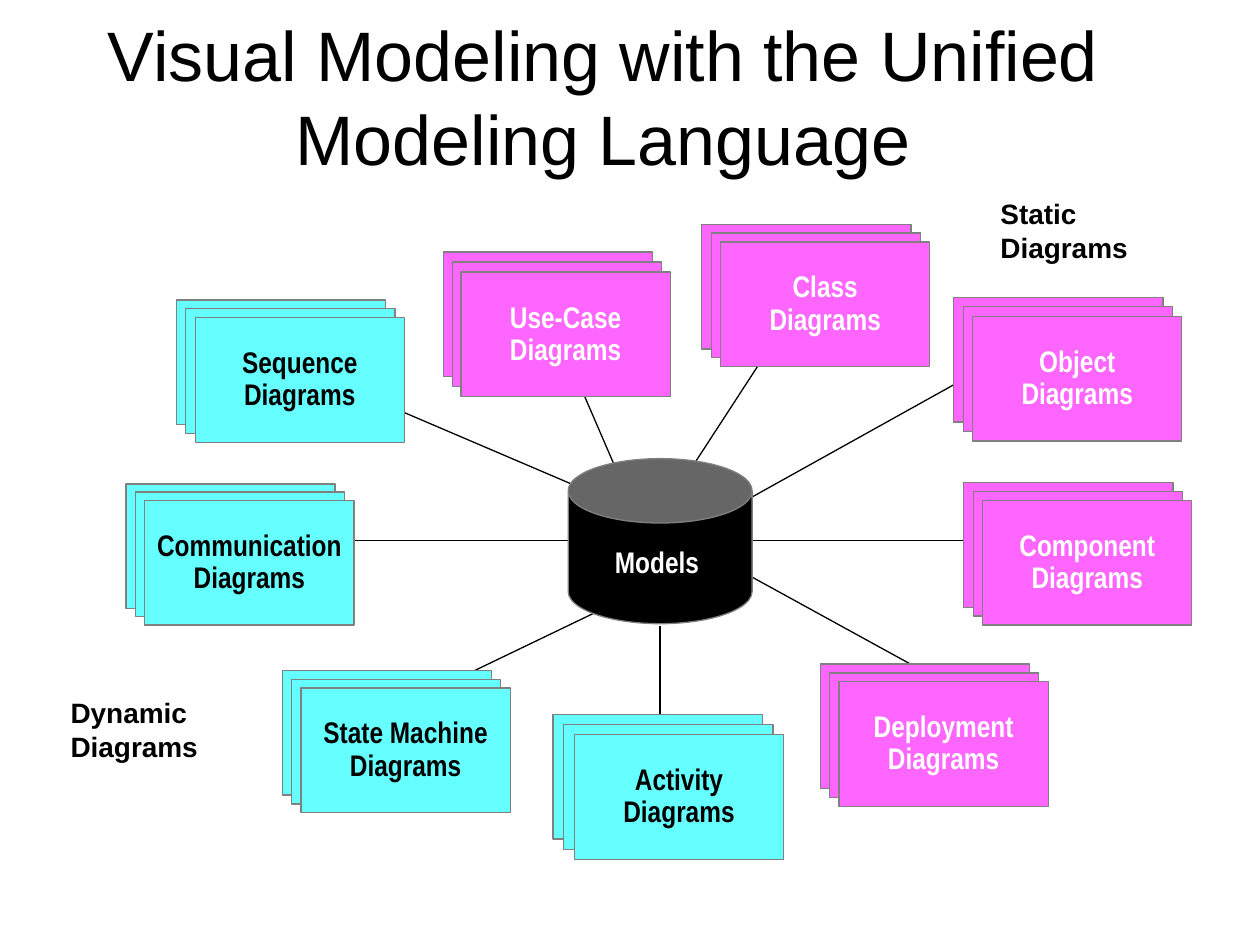
from lxml.etree import SubElement
from pptx import Presentation
from pptx.dml.color import RGBColor
from pptx.enum.shapes import MSO_CONNECTOR, MSO_SHAPE
from pptx.enum.text import MSO_ANCHOR, PP_ALIGN
from pptx.oxml.ns import qn
from pptx.util import Inches, Pt

THEME = {
    "black": RGBColor(0, 0, 0), "white": RGBColor(255, 255, 255),
    "outline": RGBColor(0x80, 0x80, 0x80),
    "dynamic": RGBColor(0x66, 0xFF, 0xFF), "static": RGBColor(0xFF, 0x66, 0xFF),
    "sans": "Arial", "narrow": "Arial Narrow",
    "title": 40, "label": 16, "box": 17,
}

# Content
TITLE = "Visual Modeling with the Unified Modeling Language"
LABELS = [  # text, left, top, width, height
    ("Dynamic Diagrams", 0.44, 5.46, 1.39, 0.65),
    ("Static Diagrams", 7.82, 1.5, 1.39, 0.65),
]
# name, kind, back card corner, front card corner, line start, line end
STACKS = [
    ("Activity", "dynamic", (4.39, 5.67), (4.56, 5.83), (5.24, 4.97), (5.24, 5.83)),
    ("Object", "static", (7.57, 2.36), (7.72, 2.51), (5.42, 4.25), (7.9, 2.87)),
    ("Component", "static", (7.65, 3.83), (7.8, 3.97), (5.66, 4.29), (7.98, 4.29)),
    ("Sequence", "dynamic", (1.4, 2.38), (1.55, 2.52), (2.59, 3.01), (5.07, 4.07)),
    ("State Machine", "dynamic", (2.24, 5.32), (2.39, 5.46), (3.48, 5.46), (4.79, 4.83)),
    ("Use-Case", "static", (3.52, 2), (3.66, 2.16), (4.37, 2.52), (4.97, 3.91)),
    ("Communication", "dynamic", (1, 3.84), (1.15, 3.97), (2.59, 4.29), (4.91, 4.29)),
    ("Class", "static", (5.57, 1.78), (5.72, 1.92), (6.2, 2.62), (5.25, 4.08)),
    ("Deployment", "static", (6.51, 5.27), (6.66, 5.41), (7.28, 5.3), (5.44, 4.29)),
]
CARD_W, CARD_H = 1.66, 0.99
CARDS = 3

prs = Presentation()
prs.slide_width, prs.slide_height = Inches(10), Inches(7.5)
slide = prs.slides.add_slide(prs.slide_layouts[6])
shapes = slide.shapes


def set_text(sp, lines, font, size, color, bold=True, align=PP_ALIGN.LEFT,
             spacing=1.0, wrap=True, anchor=MSO_ANCHOR.TOP, inset=(0.12, 0.06)):
    tf = sp.text_frame
    tf.word_wrap, tf.vertical_anchor = wrap, anchor
    tf.margin_left = tf.margin_right = Inches(inset[0])
    tf.margin_top = tf.margin_bottom = Inches(inset[1])
    for i, line in enumerate(lines):
        p = tf.paragraphs[0] if i == 0 else tf.add_paragraph()
        p.text, p.alignment, p.line_spacing = line, align, spacing
        p.font.name, p.font.size, p.font.bold = THEME[font], Pt(THEME[size]), bold
        p.font.color.rgb = THEME[color]


def add_text(box, *args, **options):
    set_text(shapes.add_textbox(*map(Inches, box)), *args, **options)


def add_filled(kind, box, color):
    sp = shapes.add_shape(kind, *map(Inches, box))
    sp.shadow.inherit = False
    sp.fill.solid()
    sp.fill.fore_color.rgb = THEME[color]
    sp.line.color.rgb = THEME["outline"]
    sp.line.width = Pt(0.75)
    return sp


def add_line(start, end):
    line = shapes.add_connector(MSO_CONNECTOR.STRAIGHT, *map(Inches, start + end))
    line.line.color.rgb = THEME["black"]
    line.line.width = Pt(1 if start[0] == end[0] else 0.75)
    SubElement(line._element.spPr, qn("a:effectLst"))


def add_stack(name, kind, back, front):
    for i in range(CARDS):
        t = i / (CARDS - 1)
        x, y = (b + (f - b) * t for b, f in zip(back, front))
        card = add_filled(MSO_SHAPE.RECTANGLE, (x, y, CARD_W, CARD_H), kind)
    set_text(card, [name, "Diagrams"], "narrow", "box",
             "black" if kind == "dynamic" else "white", align=PP_ALIGN.CENTER,
             spacing=0.9, wrap=False, anchor=MSO_ANCHOR.MIDDLE, inset=(0.09, 0.05))


# Title and group labels
add_text((0, 0.13, 9.57, 1.26), [TITLE], "sans", "title", "black", bold=False,
         align=PP_ALIGN.CENTER, anchor=MSO_ANCHOR.MIDDLE, inset=(0.1, 0.05))
for text, *box in LABELS:
    add_text(box, [text], "sans", "label", "black")

# Spokes lie behind the card stacks
for *_, start, end in STACKS:
    add_line(start, end)
for name, kind, back, front, *_ in STACKS:
    add_stack(name, kind, back, front)

# Central model store
can = add_filled(MSO_SHAPE.CAN, (4.51, 3.64, 1.46, 1.31), "black")
can.adjustments[0] = 0.39
add_text((4.76, 4.29, 0.91, 0.37), ["Models"], "narrow", "box", "white",
         spacing=0.9, wrap=False)

prs.save("out.pptx")
